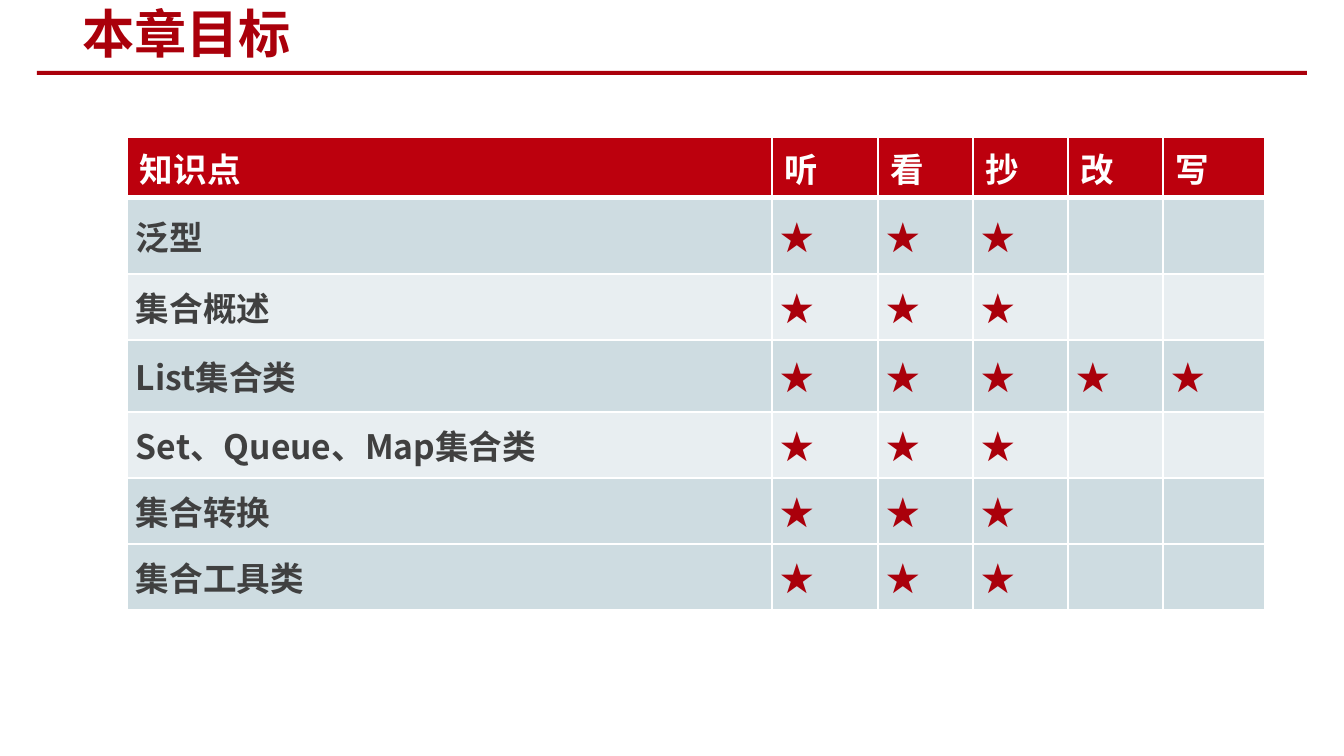
import pptx
import pptx.dml.color
import pptx.enum.shapes
import pptx.enum.text
import pptx.oxml
import pptx.oxml.ns
import pptx.util

FONT = "Noto Sans CJK SC"
RED, HEADER_RED, WHITE, GREY = "AA000B", "BC000D", "FFFFFF", "404040"
DARK_BAND, LIGHT_BAND = "CEDCE1", "E8EEF1"
SCALE = 914400 / 134.4  # EMU in one px
MIDDLE = pptx.enum.text.MSO_ANCHOR.MIDDLE
TOP = pptx.enum.text.MSO_ANCHOR.TOP


def px(*lengths):
    return [pptx.util.Emu(round(length * SCALE)) for length in lengths]


def style(target, text, size, color):
    """Write bold text into the first paragraph of a box or cell."""
    para = target.paragraphs[0]
    span = para.add_run()
    span.text = text
    formats = {"size": pptx.util.Pt(size), "bold": True, "name": FONT}
    for name, value in formats.items():
        setattr(span.font, name, value)
    span.font.color.rgb = pptx.dml.color.RGBColor.from_string(color)
    east_asian = pptx.oxml.parse_xml(
        f'<a:ea {pptx.oxml.ns.nsdecls("a")} typeface="{FONT}"/>')
    span.font._element.append(east_asian)


deck = pptx.Presentation()
deck.slide_width, deck.slide_height = px(1344, 756)
page = deck.slides.add_slide(deck.slide_layouts[6])

# Rule under the title
rule = page.shapes.add_shape(
    pptx.enum.shapes.MSO_SHAPE.RECTANGLE, *px(37, 71, 1270, 4))
rule.shadow.inherit = False
rule.fill.solid()
rule.fill.fore_color.rgb = pptx.dml.color.RGBColor.from_string(RED)
rule.line.fill.background()

# Title
box = page.shapes.add_textbox(*px(69, 3, 712, 60))
box.text_frame.word_wrap = True
box.text_frame.vertical_anchor = MIDDLE
style(box.text_frame, "本章目标", 28, RED)

# Table: each topic with the number of skills that are starred
skills = ["听", "看", "抄", "改", "写"]
topics = [
    ("泛型", 3, 76, DARK_BAND),
    ("集合概述", 3, 66, LIGHT_BAND),
    ("List集合类", 5, 72, DARK_BAND),
    ("Set、Queue、Map集合类", 3, 66, LIGHT_BAND),
    ("集合转换", 3, 66, DARK_BAND),
    ("集合工具类", 3, 66, DARK_BAND),
]
rows = [(["知识点"] + skills, 61, HEADER_RED)]
for topic, stars, height, band in topics:
    marks = ["★"] * stars + [""] * (len(skills) - stars)
    rows.append(([topic] + marks, height, band))
widths = [645, 106, 95, 95, 95, 102]

frame = page.shapes.add_table(
    len(rows), len(widths),
    *px(127, 137, sum(widths), sum(height for _, height, _ in rows)))
table = frame.table
for column, width in zip(table.columns, px(*widths)):
    column.width = width

for row_index, (texts, height, band) in enumerate(rows):
    table.rows[row_index].height = px(height)[0]
    is_header = row_index == 0
    side, edge = px(13, 7) if is_header else px(9, 0)
    for column_index, text in enumerate(texts):
        cell = table.cell(row_index, column_index)
        formats = {
            "margin_left": side, "margin_right": side,
            "margin_top": edge, "margin_bottom": edge,
            "vertical_anchor": TOP if is_header else MIDDLE,
        }
        for name, value in formats.items():
            setattr(cell, name, value)
        cell.fill.solid()
        cell.fill.fore_color.rgb = pptx.dml.color.RGBColor.from_string(band)
        if text:
            body_color = GREY if column_index == 0 else RED
            style(cell.text_frame, text, 18,
                  WHITE if is_header else body_color)

        # White borders, thick between the header and the body
        thick = {(0, "B"), (1, "T")}
        properties = cell._tc.get_or_add_tcPr()
        for position, border in enumerate("LRTB"):
            points = 3 if (row_index, border) in thick else 1
            properties.insert(position, pptx.oxml.parse_xml(
                f'<a:ln{border} {pptx.oxml.ns.nsdecls("a")} '
                f'w="{pptx.util.Pt(points)}"><a:solidFill>'
                f'<a:srgbClr val="{WHITE}"/></a:solidFill></a:ln{border}>'))

deck.save("out.pptx")
